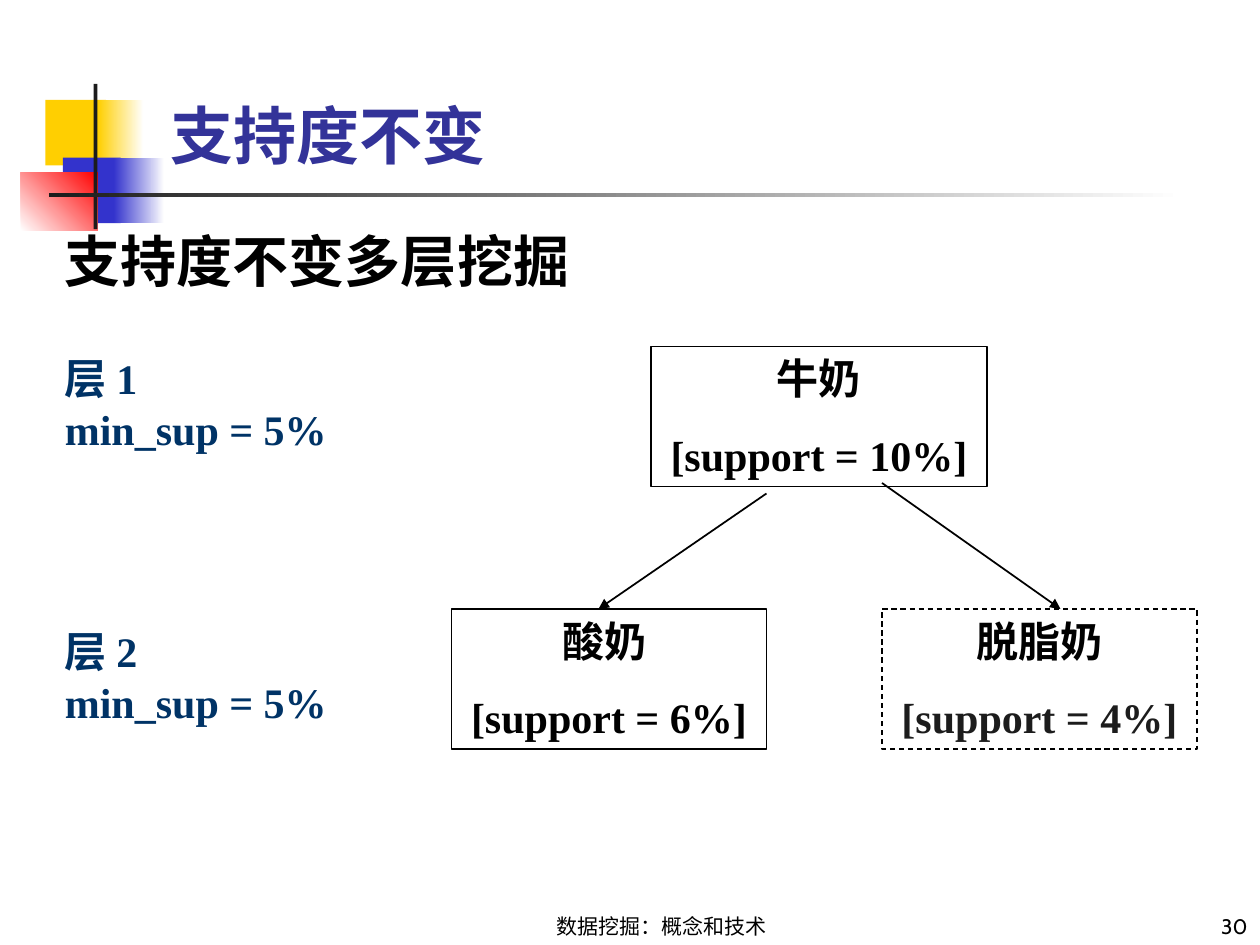
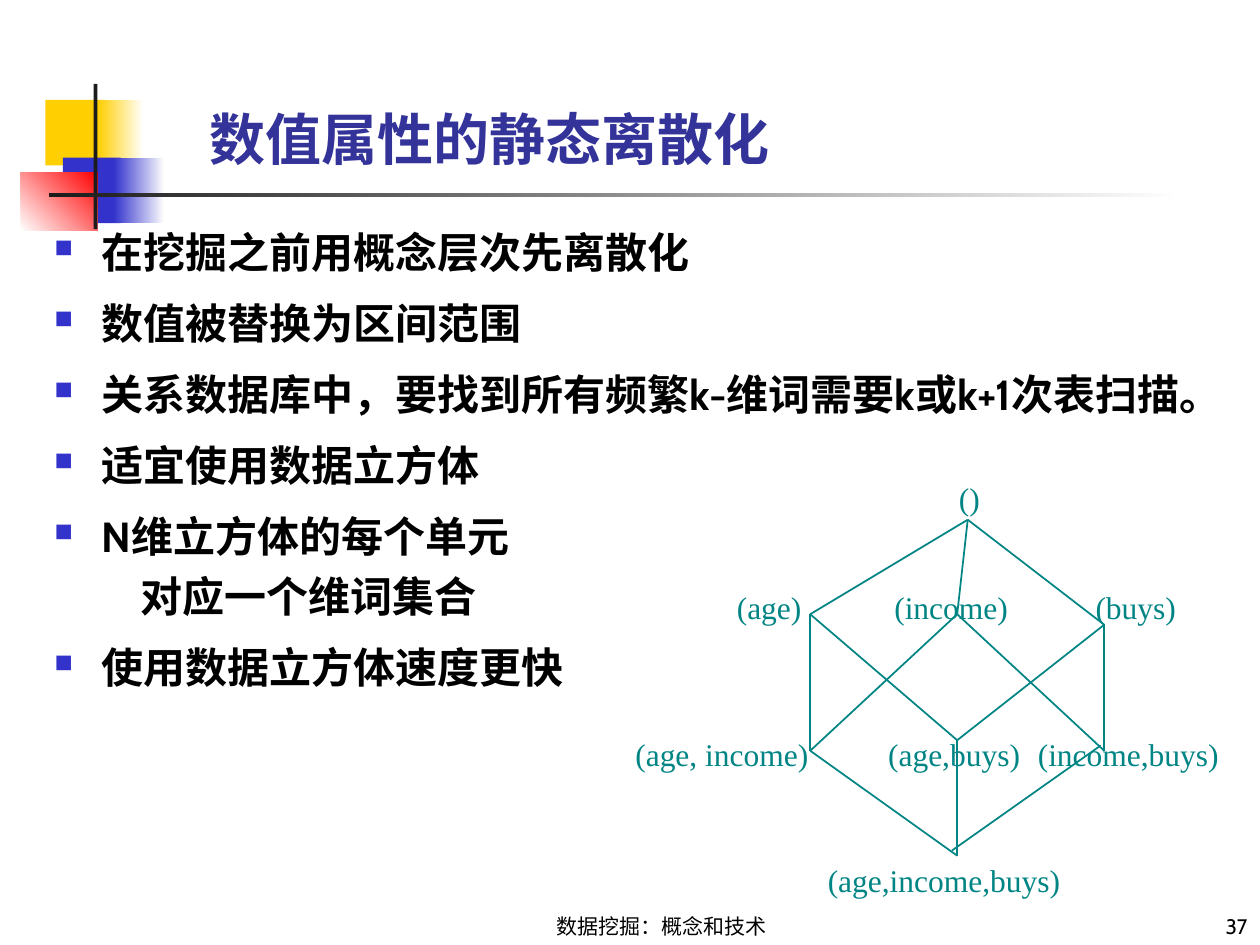
from lxml import etree
from pptx import Presentation
from pptx.dml.color import RGBColor
from pptx.enum.dml import MSO_LINE
from pptx.enum.shapes import MSO_CONNECTOR, MSO_SHAPE
from pptx.enum.text import MSO_ANCHOR, MSO_AUTO_SIZE, PP_ALIGN
from pptx.oxml.ns import qn
from pptx.util import Pt

RECTANGLE = MSO_SHAPE.RECTANGLE
STRAIGHT = MSO_CONNECTOR.STRAIGHT
TOP, BOTTOM = MSO_ANCHOR.TOP, MSO_ANCHOR.BOTTOM
LEFT, CENTER, RIGHT = PP_ALIGN.LEFT, PP_ALIGN.CENTER, PP_ALIGN.RIGHT
NO_FIT = MSO_AUTO_SIZE.NONE
DASH = MSO_LINE.DASH

BLACK = RGBColor(0x00, 0x00, 0x00)
WHITE = RGBColor(0xFF, 0xFF, 0xFF)
CHARCOAL = RGBColor(0x1C, 0x1C, 0x1C)
YELLOW = RGBColor(0xFF, 0xCF, 0x01)
BLUE = RGBColor(0x33, 0x33, 0xCC)
RED = RGBColor(0xFF, 0x00, 0x00)
TITLE_BLUE = RGBColor(0x33, 0x33, 0x99)
NAVY = RGBColor(0x00, 0x33, 0x66)
TEAL = RGBColor(0x00, 0x84, 0x84)

FOOTER = {"name": "Cabin", "size": Pt(12), "color": BLACK}
HEADING = {"name": "Cabin", "size": Pt(32), "bold": True, "color": BLACK}
BULLET = {**HEADING, "size": Pt(24)}
NODE = {"name": "Times New Roman", "size": Pt(24), "bold": True, "color": BLACK}
LEVEL = {**NODE, "color": NAVY}
LABEL = {"name": "Times New Roman", "size": Pt(18), "color": TEAL}

DECORATION = [
    ((26, 57, 34.5, 37.5), YELLOW, None, 0),
    ((56, 57, 26, 37.5), YELLOW, WHITE, 0),
    ((36, 90, 33, 37.5), BLUE, None, 0),
    ((65, 90, 29, 37.5), BLUE, WHITE, 0),
    ((12, 98.5, 44, 33.5), WHITE, RED, 45),
    ((53.5, 48, 2.25, 83), CHARCOAL, None, 0),
    ((28, 110.25, 648, 2.5), CHARCOAL, WHITE, 0),
]


def write(shape, lines, font, align=LEFT, anchor=TOP, gap=0, wrap=True, insets=(7.2, 3.6)):
    frame = shape.text_frame
    side, edge = map(Pt, insets)
    settings = {"auto_size": NO_FIT, "word_wrap": wrap, "vertical_anchor": anchor,
                "margin_left": side, "margin_right": side,
                "margin_top": edge, "margin_bottom": edge}
    for key, value in settings.items():
        setattr(frame, key, value)
    for index, line in enumerate(lines):
        para = frame.add_paragraph() if index else frame.paragraphs[0]
        para.alignment = align
        para.space_before = Pt(gap if index else 0)
        span = para.add_run()
        span.text = line
        for key, value in font.items():
            if key == "color":
                span.font.color.rgb = value
            else:
                setattr(span.font, key, value)
    return frame


def connect(page, start, end, color, arrow=False):
    line = page.shapes.add_connector(STRAIGHT, *map(Pt, start + end))
    line.line.color.rgb = color
    line.line.width = Pt(1)
    properties = line._element.spPr
    if arrow:
        etree.SubElement(properties.find(qn("a:ln")), qn("a:tailEnd"), type="triangle")
    etree.SubElement(properties, qn("a:effectLst"))


deck = Presentation()
deck.slide_width, deck.slide_height = Pt(720), Pt(540)

pages = []
for title, title_at, title_size, number in [
    ("支持度不变", (90, 54, 613, 48), 36, "30"),
    ("数值属性的静态离散化", (112.5, 30, 541, 72), 32, "37"),
]:
    page = deck.slides.add_slide(deck.slide_layouts[5])
    pages.append(page)
    for at, first, second, angle in DECORATION:
        band = page.shapes.add_shape(RECTANGLE, *map(Pt, at))
        band.shadow.inherit = False
        band.line.fill.background()
        if second is None:
            band.fill.solid()
            band.fill.fore_color.rgb = first
        else:
            band.fill.gradient()
            band.fill.gradient_angle = angle
            for stop, color in zip(band.fill.gradient_stops, (first, second)):
                stop.color.rgb = color
    heading = page.shapes.title
    heading.left, heading.top, heading.width, heading.height = map(Pt, title_at)
    write(heading, [title], {**HEADING, "size": Pt(title_size), "color": TITLE_BLUE}, anchor=BOTTOM)
    for text, left, width, align in [
        ("数据挖掘：概念和技术", 264, 228, CENTER),
        (number, 570, 150, RIGHT),
    ]:
        footer = page.shapes.add_textbox(Pt(left), Pt(510), Pt(width), Pt(30))
        write(footer, [text], FOOTER, align, BOTTOM)

support_page, cube_page = pages

subtitle = support_page.shapes.add_textbox(Pt(30), Pt(126), Pt(660), Pt(78))
write(subtitle, ["支持度不变多层挖掘"], HEADING)

for item, support, left, top, width, dashed in [
    ("牛奶", "10%", 372, 198, 192, False),
    ("酸奶 ", "6%", 258, 348, 180, False),
    ("脱脂奶", "4%", 504, 348, 180, True),
]:
    box = support_page.shapes.add_shape(RECTANGLE, Pt(left), Pt(top), Pt(width), Pt(80))
    box.shadow.inherit = False
    box.fill.solid()
    box.fill.fore_color.rgb = WHITE
    box.line.color.rgb = BLACK
    box.line.width = Pt(0.75)
    frame = write(box, [item, f"[support = {support}]"], NODE, CENTER, gap=15)
    if dashed:
        box.line.dash_style = DASH
        fill_color = box._element.spPr.find(qn("a:solidFill"))[0]
        etree.SubElement(fill_color, qn("a:alpha"), val="50000")
        frame.paragraphs[1].runs[0].font.color.rgb = CHARCOAL

connect(support_page, (438, 282), (342, 348), BLACK, arrow=True)
connect(support_page, (504, 276), (606, 348), BLACK, arrow=True)

for level, top in [("层 1", 198), ("层 2", 354)]:
    box = support_page.shapes.add_textbox(Pt(30), Pt(top), Pt(164), Pt(65))
    write(box, [level, "min_sup = 5%"], LEVEL, wrap=False)

CONTINUATION = "对应一个维词集合"
points = [
    "在挖掘之前用概念层次先离散化",
    "数值被替换为区间范围",
    "关系数据库中，要找到所有频繁k-维词需要k或k+1次表扫描。",
    "适宜使用数据立方体",
    "N维立方体的每个单元",
    CONTINUATION,
    "使用数据立方体速度更快",
]
body = cube_page.shapes.add_textbox(Pt(24), Pt(120), Pt(666), Pt(402))
for para in write(body, points, BULLET, gap=6).paragraphs:
    para.line_spacing = 1.2
    properties = para._p.get_or_add_pPr()
    if para.text == CONTINUATION:
        para.space_before = Pt(0)
        properties.set("marL", str(Pt(49)))
        continue
    properties.set("marL", str(Pt(27)))
    properties.set("indent", str(Pt(-27)))
    bullet_color = etree.SubElement(properties, qn("a:buClr"))
    etree.SubElement(bullet_color, qn("a:srgbClr"), val=str(BLUE))
    etree.SubElement(properties, qn("a:buSzPct"), val="60000")
    etree.SubElement(properties, qn("a:buChar"), char="■")

apex = (553, 297)
age, income, buys = (463, 351), (547, 351), (631, 357)
age_income, age_buys, income_buys = (463, 429), (547, 423), (631, 429)
base = (547, 489)
for start, end in [
    (apex, age), (apex, income), (apex, buys),
    (age, age_income), (age, age_buys),
    (income, age_income), (income, income_buys),
    (buys, age_buys), (buys, income_buys),
    (age_income, base), (age_buys, base), ((629, 426), (544, 486)),
]:
    connect(cube_page, start, end, TEAL)

for text, left, top, width in [
    ("()", 548, 273.5, 12),
    ("(age)", 421, 336, 37),
    ("(income)", 511, 336, 65),
    ("(buys)", 626, 336, 46),
    ("(age, income)", 363, 420, 99),
    ("(age,buys)", 507.5, 420, 75.5),
    ("(income,buys)", 592.5, 420, 104),
    ("(age,income,buys)", 473, 492, 133),
]:
    label = cube_page.shapes.add_textbox(Pt(left), Pt(top), Pt(width), Pt(21.5))
    write(label, [text], LABEL, RIGHT, wrap=False, insets=(0, 0))

deck.save("out.pptx")
